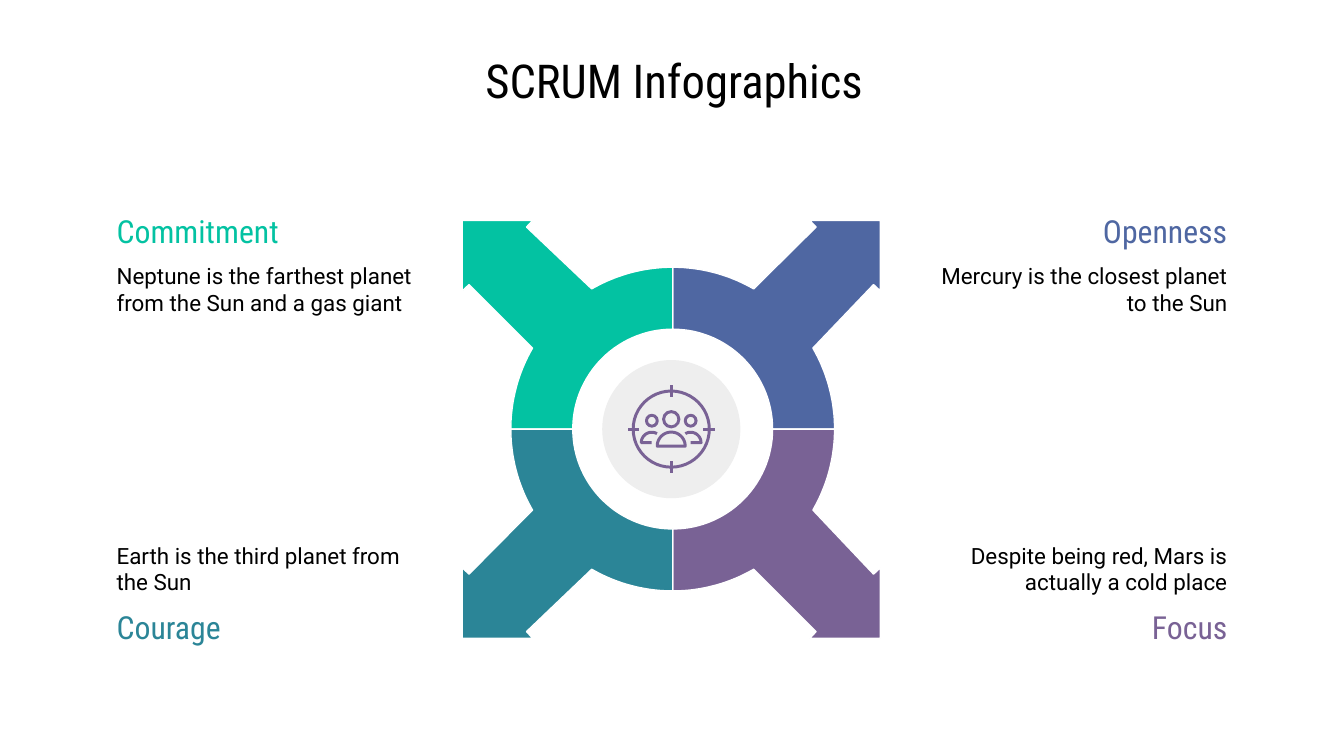
from math import cos, radians, sin

from pptx import Presentation
from pptx.dml.color import RGBColor
from pptx.enum.shapes import MSO_CONNECTOR, MSO_SHAPE
from pptx.enum.text import MSO_ANCHOR, PP_ALIGN
from pptx.util import Pt

LEFT, CENTER, RIGHT = PP_ALIGN.LEFT, PP_ALIGN.CENTER, PP_ALIGN.RIGHT
MIDDLE = MSO_ANCHOR.MIDDLE
OVAL = MSO_SHAPE.OVAL
STRAIGHT = MSO_CONNECTOR.STRAIGHT

COLORS = {
    "black": "000000",
    "white": "FFFFFF",
    "gray": "EEEEEE",
    "green": "03C2A2",
    "blue": "4F67A2",
    "teal": "2B8597",
    "purple": "796295",
}
FRAME = {
    "word_wrap": True,
    "vertical_anchor": MIDDLE,
    "margin_left": Pt(7.2),
    "margin_right": Pt(7.2),
    "margin_top": Pt(7.2),
    "margin_bottom": Pt(7.2),
}
FONTS = {
    "title": {"name": "Roboto Condensed", "size": Pt(25)},
    "heading": {"name": "Roboto Condensed", "size": Pt(17)},
    "body": {"name": "Roboto", "size": Pt(12)},
}
RING_X, RING_Y, RING_OUTER, RING_INNER = 360.4, 229.9, 86.7, 53.5
ICON_X, ICON_Y, ICON_LINE = 359.6, 229.9, 1.6
ARROW_HEAD = [(3.6, 34.4), (0, 37.8), (0, 0), (37.8, 0), (34.4, 3.6)]
QUADRANTS = [
    (1, -1, "blue", "Openness", "Mercury is the closest planet to the Sun"),
    (-1, -1, "green", "Commitment",
     "Neptune is the farthest planet from the Sun and a gas giant"),
    (1, 1, "purple", "Focus", "Despite being red, Mars is actually a cold place"),
    (-1, 1, "teal", "Courage", "Earth is the third planet from the Sun"),
]


def rgb(name):
    return RGBColor.from_string(COLORS[name])


def arc(x, y, radius, start, end, sx=1, sy=1, steps=30):
    angles = [radians(start + (end - start) * i / steps) for i in range(steps + 1)]
    return [(x + sx * radius * cos(a), y + sy * radius * sin(a)) for a in angles]


class Deck:
    def __init__(self, slide):
        self.s = slide

    def paint(self, sp, fill, line, width):
        sp.shadow.inherit = False
        if fill:
            sp.fill.solid()
            sp.fill.fore_color.rgb = rgb(fill)
        else:
            sp.fill.background()
        if line:
            sp.line.color.rgb = rgb(line)
            sp.line.width = Pt(width)
        else:
            sp.line.fill.background()

    def text(self, x, y, w, h, words, style, color="black", align=LEFT):
        sp = self.s.shapes.add_textbox(Pt(x), Pt(y), Pt(w), Pt(h))
        tf = sp.text_frame
        for key, value in FRAME.items():
            setattr(tf, key, value)
        p = tf.paragraphs[0]
        p.alignment = align
        r = p.add_run()
        r.text = words
        for key, value in FONTS[style].items():
            setattr(r.font, key, value)
        r.font.color.rgb = rgb(color)

    def circle(self, x, y, radius, fill=None, line=None, width=ICON_LINE):
        sp = self.s.shapes.add_shape(
            OVAL, Pt(x - radius), Pt(y - radius), Pt(2 * radius), Pt(2 * radius))
        self.paint(sp, fill, line, width)

    def outline(self, points, fill=None, line=None, width=ICON_LINE, close=True):
        start, *rest = [(Pt(x), Pt(y)) for x, y in points]
        builder = self.s.shapes.build_freeform(*start, scale=1.0)
        builder.add_line_segments(rest, close=close)
        self.paint(builder.convert_to_shape(), fill, line, width)

    def tick(self, x1, y1, x2, y2, color):
        sp = self.s.shapes.add_connector(STRAIGHT, Pt(x1), Pt(y1), Pt(x2), Pt(y2))
        sp.line.color.rgb = rgb(color)
        sp.line.width = Pt(ICON_LINE)
        sp._element.spPr.get_or_add_effectLst() if hasattr(
            sp._element.spPr, "get_or_add_effectLst") else sp._element.spPr.append(
            sp._element.spPr.makeelement(
                "{http://schemas.openxmlformats.org/drawingml/2006/main}effectLst", {}))

    def arrow(self, sx, sy, color):
        tip_x = 471.6 if sx > 0 else 247.7
        tip_y = 342 if sy > 0 else 118.1
        head = [(tip_x - sx * dx, tip_y - sy * dy) for dx, dy in ARROW_HEAD]
        ring = (sx, sy)
        points = (arc(RING_X, RING_Y, RING_OUTER, 0, 30, *ring) + head
                  + arc(RING_X, RING_Y, RING_OUTER, 60, 90, *ring)
                  + arc(RING_X, RING_Y, RING_INNER, 90, 0, *ring))
        self.outline(points, color, "white", 0.75)

    def label(self, sx, sy, color, heading, body):
        x, align = (486, RIGHT) if sx > 0 else (55.4, LEFT)
        heading_y, body_y = (319, 283.7) if sy > 0 else (106.6, 133.9)
        self.text(x, heading_y, 178.6, 33.8, heading, "heading", color, align)
        self.text(x, body_y, 178.6, 41.8, body, "body", align=align)

    def team_icon(self, color):
        base = 237.2
        for side in (-1, 1):
            x = ICON_X + side * 10.4
            self.circle(x, 225.4, 2.9, line=color)
            shoulders = arc(x, base, 5.6, 120, 0, side, -1) + [(x, base)]
            self.outline(shoulders, line=color, close=False)
        self.circle(ICON_X, 224.6, 4.1, line=color)
        self.outline(arc(ICON_X, 239, 7.5, 0, 180, 1, -1), line=color)
        self.circle(ICON_X, ICON_Y, 20.4, line=color)
        for dx, dy in ((0, -1), (1, 0), (0, 1), (-1, 0)):
            self.tick(ICON_X + 17.2 * dx, ICON_Y + 17.2 * dy,
                      ICON_X + 23.4 * dx, ICON_Y + 23.4 * dy, color)


def main():
    prs = Presentation()
    prs.slide_width, prs.slide_height = Pt(720), Pt(405)
    deck = Deck(prs.slides.add_slide(prs.slide_layouts[6]))
    deck.text(38.2, 23.8, 645.8, 38.2, "SCRUM Infographics", "title", align=CENTER)
    for sx, sy, color, heading, body in QUADRANTS:
        deck.label(sx, sy, color, heading, body)
    deck.circle(ICON_X, ICON_Y, 37, "gray")
    for sx, sy, color, *_ in QUADRANTS:
        deck.arrow(sx, sy, color)
    deck.team_icon("purple")
    prs.save("out.pptx")


if __name__ == "__main__":
    main()
